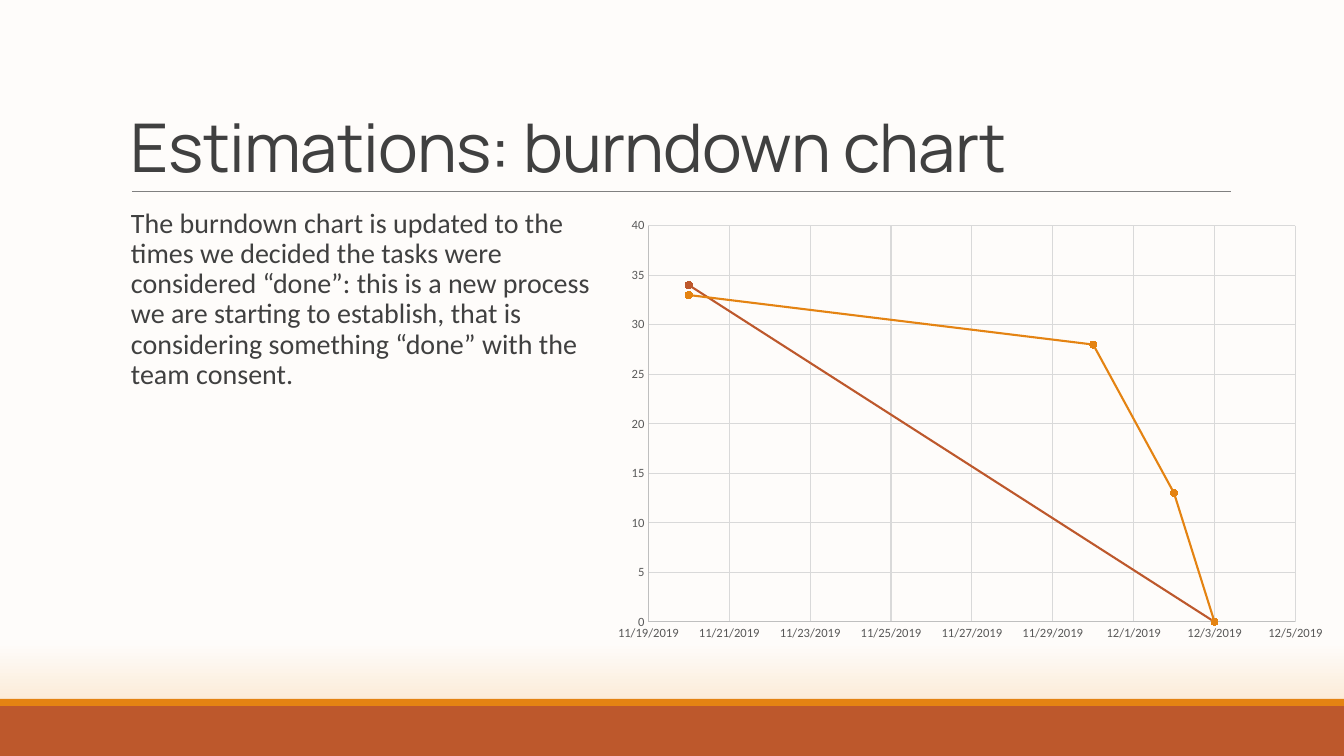
import lxml.etree
import pptx
import pptx.chart.data
import pptx.dml.color
import pptx.enum.chart
import pptx.enum.shapes
import pptx.enum.text
import pptx.oxml
import pptx.oxml.ns
import pptx.util

PX = 12192000 / 1344
FIRST_DAY, LAST_DAY = 43788, 43804
BURNDOWN = [
    ("Series 1", "E48312", [(43789, 33), (43799, 28), (43801, 13), (43802, 0)]),
    ("Series 2", "BD582C", [(43789, 34), (43802, 0)]),
]
PLOT_LAYOUT = {"layoutTarget": "inner", "xMode": "edge", "yMode": "edge",
               "x": 0.04, "y": 0.07, "w": 0.91, "h": 0.87}
PLOT_LAYOUT.update(x=0.039, y=0.074, w=0.907, h=0.869)


def px(*lengths):
    return [pptx.util.Emu(round(length * PX)) for length in lengths]


def color(code):
    return pptx.dml.color.RGBColor.from_string(code)


def apply(target, formats):
    for name, value in formats.items():
        setattr(target, name, value)


def style_font(font, face, size, code):
    apply(font, {"name": face, "size": pptx.util.Pt(size), "bold": False})
    font.color.rgb = color(code)


def style_line(line, code, width):
    line.color.rgb = color(code)
    line.width = pptx.util.Pt(width)


def add_background(page):
    fill = page.background.fill
    fill.gradient()
    fill.gradient_angle = 270
    for stop, (position, code) in zip(fill.gradient_stops, [(0.85, "FEFCFA"), (1, "F9DAB6")]):
        stop.position = position
        stop.color.rgb = color(code)


def add_footer(page, box):
    left, top, width, height = box
    stripe = 7
    for offset, depth, code in [(stripe, height - stripe, "BD582C"), (0, stripe, "E48312")]:
        band = page.shapes.add_shape(pptx.enum.shapes.MSO_SHAPE.RECTANGLE,
                                     *px(left, top + offset, width, depth))
        band.shadow.inherit = False
        band.fill.solid()
        band.fill.fore_color.rgb = color(code)
        band.line.fill.background()


def add_text(page, box, text, face, size, frame_formats, para_formats):
    frame = page.shapes.add_textbox(*px(*box)).text_frame
    apply(frame, {"word_wrap": True, **frame_formats})
    para = frame.paragraphs[0]
    apply(para, para_formats)
    span = para.add_run()
    span.text = text
    style_font(span.font, face, size, "404040")
    return para, span


def add_title(page, box):
    left, top, width, height = box
    para, span = add_text(page, box, "Estimations: burndown chart", "Manrope", 48,
                          {"vertical_anchor": pptx.enum.text.MSO_ANCHOR.BOTTOM},
                          {"line_spacing": 0.85})
    span.font._element.set("spc", "-50")
    base = top + height
    rule = page.shapes.add_connector(pptx.enum.shapes.MSO_CONNECTOR.STRAIGHT,
                                     *px(left + 11, base, left + width + 1, base))
    style_line(rule.line, "808080", 0.5)
    lxml.etree.SubElement(rule._element.spPr, pptx.oxml.ns.qn("a:effectLst"))


def add_body(page, box):
    para, span = add_text(
        page, box,
        "The burndown chart is updated to the times we decided the tasks were considered “done”: "
        "this is a new process we are starting to establish, that is considering something "
        "“done” with the team consent.",
        "Calibri", 20, {"margin_left": 0, "margin_right": 0},
        {"line_spacing": 0.9, "space_before": pptx.util.Pt(12), "space_after": pptx.util.Pt(2)})
    para._p.get_or_add_pPr().set("marL", str(px(10)[0]))


def style_axis(axis, formats, number_format):
    no_tick = pptx.enum.chart.XL_TICK_MARK.NONE
    apply(axis, {"has_major_gridlines": True, "major_tick_mark": no_tick,
                 "minor_tick_mark": no_tick, **formats})
    apply(axis.tick_labels, {"number_format": number_format, "number_format_is_linked": False})
    style_font(axis.tick_labels.font, "Calibri", 9, "595959")
    style_line(axis.format.line, "BFBFBF", 0.75)
    style_line(axis.major_gridlines.format.line, "D9D9D9", 0.75)


def place_plot(chart):
    qn = pptx.oxml.ns.qn
    area = chart._chartSpace.chart.plotArea
    for layout in area.findall(qn("c:layout")):
        area.remove(layout)
    layout = lxml.etree.Element(qn("c:layout"))
    area.insert(0, layout)
    manual = lxml.etree.SubElement(layout, qn("c:manualLayout"))
    for name, value in PLOT_LAYOUT.items():
        lxml.etree.SubElement(manual, qn("c:" + name)).set("val", str(value))


def add_burndown(page, box):
    chart_data = pptx.chart.data.XyChartData()
    for name, code, points in BURNDOWN:
        series = chart_data.add_series(name)
        for day, remaining in points:
            series.add_data_point(day, remaining)
    chart = page.shapes.add_chart(pptx.enum.chart.XL_CHART_TYPE.XY_SCATTER_LINES,
                                  *px(*box), chart_data).chart
    apply(chart, {"has_title": False, "has_legend": False})
    style_font(chart.font, "Calibri", 10, "000000")
    chart.plots[0].vary_by_categories = False
    style_axis(chart.category_axis,
               {"minimum_scale": FIRST_DAY, "maximum_scale": LAST_DAY, "major_unit": 2},
               "m/d/yyyy")
    style_axis(chart.value_axis,
               {"minimum_scale": 0, "maximum_scale": 40, "major_unit": 5}, "General")
    for series, (name, code, points) in zip(chart.plots[0].series, BURNDOWN):
        series.smooth = False
        style_line(series.format.line, code, 1.5)
        apply(series.marker, {"style": pptx.enum.chart.XL_MARKER_STYLE.CIRCLE, "size": 5})
        series.marker.format.fill.solid()
        series.marker.format.fill.fore_color.rgb = color(code)
        style_line(series.marker.format.line, code, 0.75)
    place_plot(chart)


def main():
    deck = pptx.Presentation()
    deck.slide_width, deck.slide_height = px(1344, 756)
    page = deck.slides.add_slide(deck.slide_layouts[6])
    add_background(page)
    add_footer(page, (0, 699, 1344, 57))
    add_title(page, (121, 31, 1109, 160))
    add_body(page, (121, 204, 497, 444))
    add_burndown(page, (618, 192, 716, 456))
    deck.save("out.pptx")


if __name__ == "__main__":
    main()
